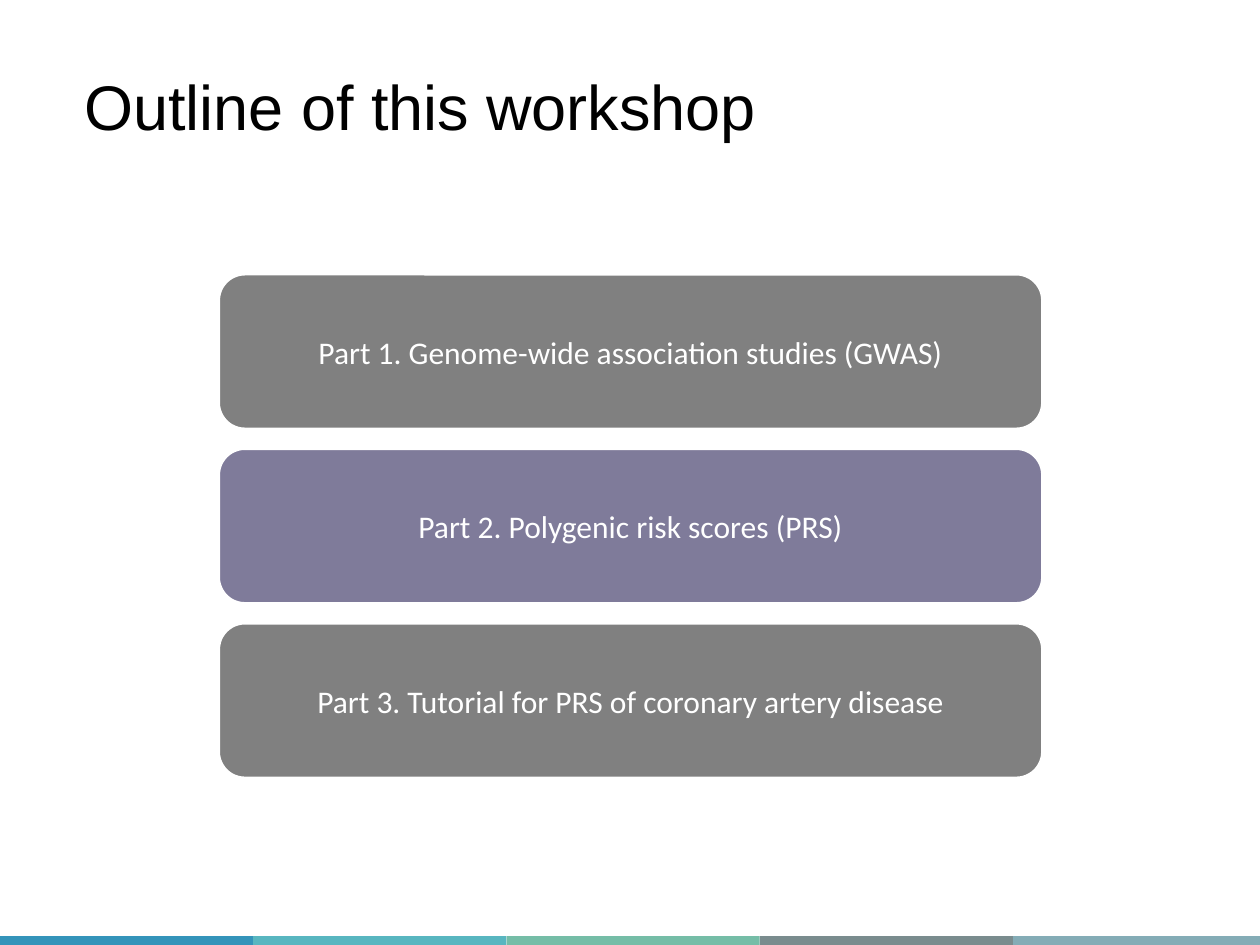
from pptx import Presentation
from pptx.dml.color import RGBColor
from pptx.enum.shapes import MSO_SHAPE
from pptx.enum.text import MSO_ANCHOR, PP_ALIGN
from pptx.util import Inches, Pt

COLORS = {
    "black": "000000",
    "white": "FFFFFF",
    "gray": "808080",
    "purple": "7F7B9A",
}
STRIPES = ["3494BA", "58B6C0", "75BDA7", "7A8C8E", "84ACB6"]
PARTS = [
    ("Part 1. Genome-wide association studies (GWAS)", "gray"),
    ("Part 2. Polygenic risk scores (PRS)", "purple"),
    ("Part 3. Tutorial for PRS of coronary artery disease", "gray"),
]


def write(shape, text, size=18, font="Calibri", color="white",
          align=PP_ALIGN.CENTER, space=1.0):
    frame = shape.text_frame
    frame.word_wrap = True
    frame.vertical_anchor = MSO_ANCHOR.MIDDLE
    para = frame.paragraphs[0]
    para.alignment = align
    para.line_spacing = space
    run = para.add_run()
    run.text = text
    run.font.size = Pt(size)
    run.font.name = font
    run.font.color.rgb = RGBColor.from_string(COLORS[color])


def block(kind, left, top, width, height, fill):
    shape = slide.shapes.add_shape(
        kind, Inches(left), Inches(top), Inches(width), Inches(height))
    shape.shadow.inherit = False
    shape.fill.solid()
    shape.fill.fore_color.rgb = RGBColor.from_string(fill)
    shape.line.fill.background()
    return shape


deck = Presentation()
deck.slide_width = Inches(10)
deck.slide_height = Inches(7.5)
slide = deck.slides.add_slide(deck.slide_layouts[6])

for i, fill in enumerate(STRIPES):
    block(MSO_SHAPE.RECTANGLE, i * 2.01, 7.43, 2.01, 0.1, fill)

title = slide.shapes.add_textbox(
    Inches(0.57), Inches(0.26), Inches(8.74), Inches(1.22))
write(title, "Outline of this workshop", size=36, font="Arial",
      color="black", align=PP_ALIGN.LEFT, space=0.9)

for i, (text, color) in enumerate(PARTS):
    card = block(MSO_SHAPE.ROUNDED_RECTANGLE, 1.74, 2.18 + i * 1.385,
                 6.53, 1.22, COLORS[color])
    card.line.color.rgb = RGBColor.from_string(COLORS["white"])
    card.line.width = Pt(1)
    write(card, text)

deck.save("out.pptx")
